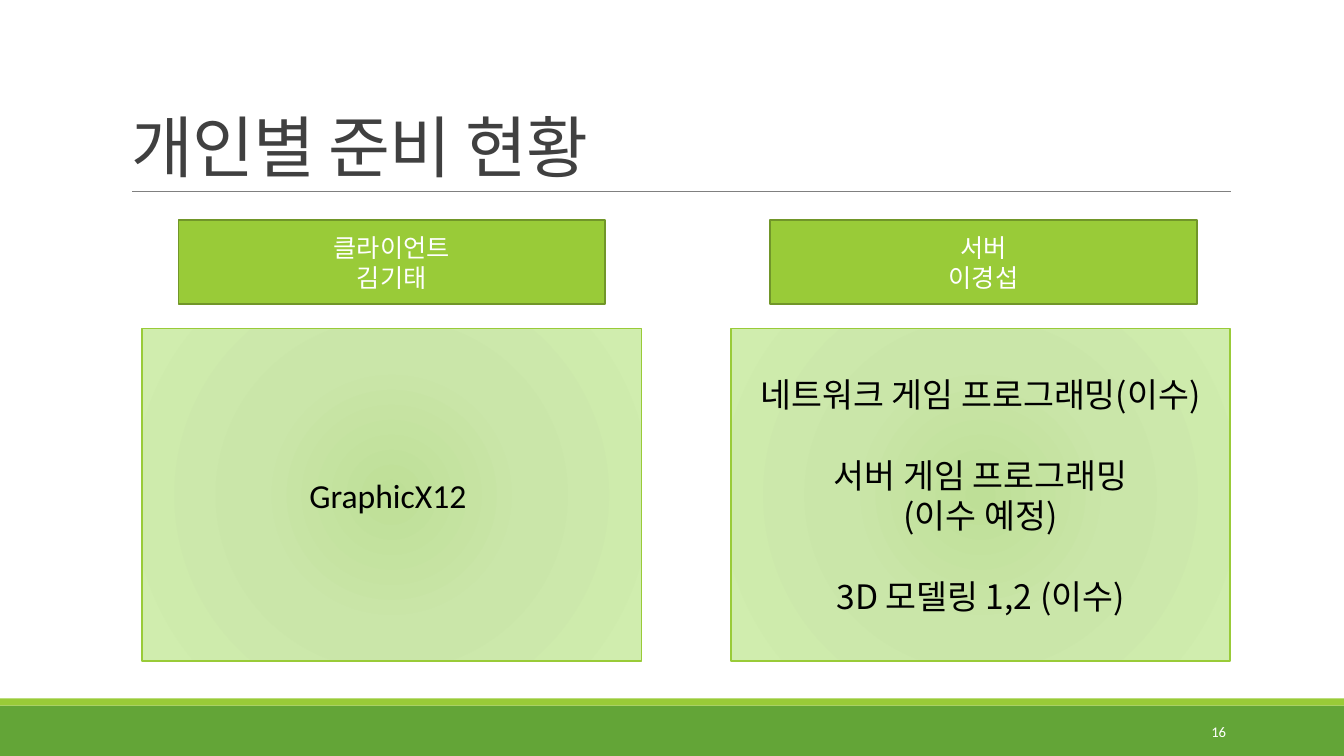
from dataclasses import dataclass

from lxml import etree
from pptx import Presentation
from pptx.dml.color import RGBColor as Rgb
from pptx.enum.shapes import MSO_CONNECTOR as Connector, MSO_SHAPE as Shape
from pptx.enum.text import MSO_ANCHOR as Anchor, MSO_AUTO_SIZE as AutoSize, PP_ALIGN as Align
from pptx.oxml import parse_xml
from pptx.oxml.ns import nsdecls, qn
from pptx.util import Inches, Pt


@dataclass(frozen=True)
class Theme:
    font: str = "Calibri"
    korean_font: str = "Noto Sans CJK KR"
    green: str = "63A537"
    lime: str = "99CB38"
    lime_dark: str = "719629"
    rule: str = "808080"
    title: str = "404040"
    white: str = "FFFFFF"
    black: str = "000000"
    gradient: tuple = ((0, "BEDF97"), (45, "CAE6A9"), (100, "D0EDAE"))
    title_size: float = 48
    body_size: float = 24
    label_size: float = 18
    number_size: float = 10.5


theme = Theme()


def add_box(left, top, width, height, fill, line=None, line_width=1):
    box = slide.shapes.add_shape(
        Shape.RECTANGLE, Inches(left), Inches(top), Inches(width), Inches(height))
    box.shadow.inherit = False
    box.fill.solid()
    box.fill.fore_color.rgb = Rgb.from_string(fill)
    if line:
        box.line.color.rgb = Rgb.from_string(line)
        box.line.width = Pt(line_width)
    else:
        box.line.fill.background()
    return box


def write(shape, lines, size, color, font=theme.font, align=Align.CENTER, anchor=Anchor.MIDDLE):
    frame = shape.text_frame
    frame.word_wrap = True
    frame.auto_size = AutoSize.NONE
    frame.vertical_anchor = anchor
    frame.text = "\n".join(lines)
    for paragraph in frame.paragraphs:
        paragraph.alignment = align
        paragraph.font.name = font
        paragraph.font.size = Pt(size)
        paragraph.font.color.rgb = Rgb.from_string(color)
    return frame.paragraphs


presentation = Presentation()
presentation.slide_width = Inches(13.33)
presentation.slide_height = Inches(7.5)
slide = presentation.slides.add_slide(presentation.slide_layouts[5])

# Footer bands and title rule
add_box(0, 7, 13.33, 0.5, theme.green)
add_box(0, 6.93, 13.33, 0.07, theme.lime)
title_rule = slide.shapes.add_connector(
    Connector.STRAIGHT, Inches(1.31), Inches(1.9), Inches(12.21), Inches(1.9))
title_rule.line.color.rgb = Rgb.from_string(theme.rule)
title_rule.line.width = Pt(0.5)
etree.SubElement(title_rule._element.spPr, qn("a:effectLst"))

# Title
title = slide.shapes.title
title.left, title.top = Inches(1.2), Inches(0.31)
title.width, title.height = Inches(11), Inches(1.59)
heading = write(title, ["개인별 준비 현황"], theme.title_size, theme.title,
                align=Align.LEFT, anchor=Anchor.BOTTOM)[0]
heading.line_spacing = 0.85
heading.runs[0]._r.get_or_add_rPr().set("spc", "-50")

# One column per person: label left, card left, label, card font, preparation groups
members = [
    (1.77, 1.41, ["클라이언트", "김기태"], theme.font, [["GraphicX12 "]]),
    (7.64, 7.25, ["서버", "이경섭"], theme.korean_font, [
        ["네트워크 게임 프로그래밍(이수)"],
        ["서버 게임 프로그래밍", "(이수 예정)"],
        ["3D 모델링 1,2 (이수)"],
    ]),
]
stops = "".join(
    f'<a:gs pos="{position * 1000}"><a:srgbClr val="{color}"/></a:gs>'
    for position, color in theme.gradient)
radial_fill = (
    f'<a:gradFill {nsdecls("a")} rotWithShape="1"><a:gsLst>{stops}</a:gsLst>'
    '<a:path path="circle"><a:fillToRect l="100000" t="100000" r="100000" b="100000"/></a:path>'
    '</a:gradFill>')

for label_left, card_left, label_lines, card_font, groups in members:
    label = add_box(label_left, 2.18, 4.23, 0.84, theme.lime, theme.lime_dark, 1.25)
    write(label, label_lines, theme.label_size, theme.white)

    card = add_box(card_left, 3.26, 4.95, 3.3, theme.white, theme.lime)
    solid_fill = card._element.spPr.find(qn("a:solidFill"))
    card._element.spPr.replace(solid_fill, parse_xml(radial_fill))
    lines = [line for group in groups for line in group]
    group_starts = [group[0] for group in groups[1:]]
    for paragraph in write(card, lines, theme.body_size, theme.black, card_font):
        if paragraph.text in group_starts:
            paragraph.space_before = Pt(29)

# Slide number
number = slide.shapes.add_textbox(Inches(10.83), Inches(7.06), Inches(1.43), Inches(0.4))
write(number, ["16"], theme.number_size, theme.white, align=Align.RIGHT)

presentation.save("out.pptx")
